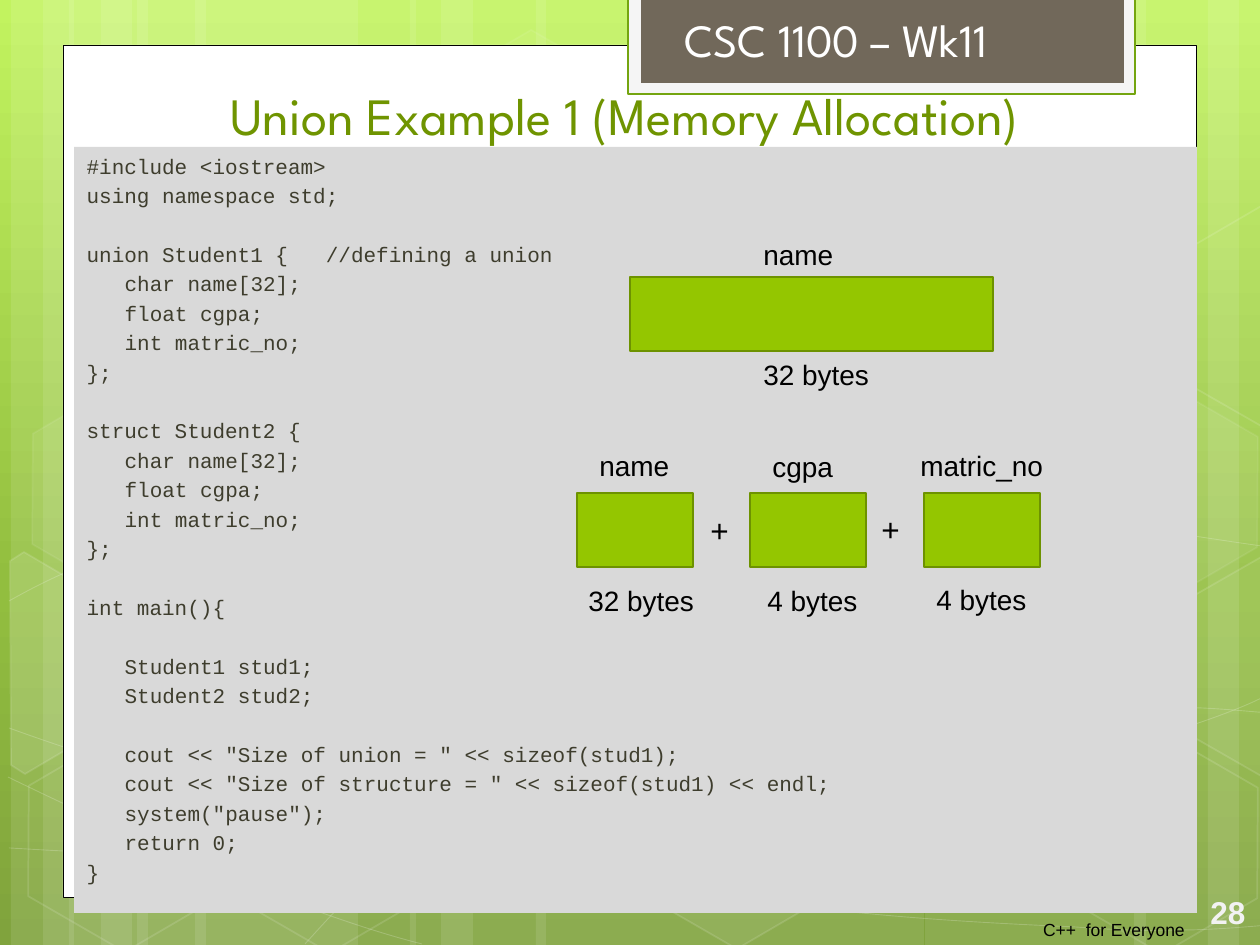
from copy import deepcopy
from lxml import etree
from pptx import Presentation
from pptx.dml.color import RGBColor
from pptx.enum.shapes import MSO_SHAPE
from pptx.enum.text import MSO_ANCHOR, MSO_AUTO_SIZE, PP_ALIGN
from pptx.oxml.ns import qn
from pptx.util import Pt

RECT, HEXAGON = MSO_SHAPE.RECTANGLE, MSO_SHAPE.HEXAGON
LEFT, CENTER, RIGHT = PP_ALIGN.LEFT, PP_ALIGN.CENTER, PP_ALIGN.RIGHT
TOP, MIDDLE, BOTTOM = MSO_ANCHOR.TOP, MSO_ANCHOR.MIDDLE, MSO_ANCHOR.BOTTOM
PX = 914400 / 126  # EMU per px

THEME = {
    "sky": [(0, "C2F35F"), (0.62, "92BE3F"), (1, "80A33D")],
    "white": "FFFFFF", "black": "000000", "tab_edge": "F5F5F5",
    "tab_line": "74A510", "tab": "71685A", "code_panel": "D9D9D9",
    "code": "3E3D2D", "title": "6F9400", "memory": "94C600",
    "memory_line": "6D9200", "page": "F2F2F2",
    "display_font": "League Spartan", "code_font": "Courier New", "label_font": "Arial",
    "title_size": 30, "course_size": 26.4, "code_size": 12, "label_size": 16,
    "sign_size": 18, "footer_size": 10, "page_size": 18,
}


def paint(shape, fill=None, line=None, width=1, fill_alpha=100, line_alpha=100):
    """Set fill and line, with opacity in percent; None leaves either out."""
    shape.shadow.inherit = False
    shape.line.width = Pt(width)
    for format_, color, alpha in ((shape.fill, fill, fill_alpha),
                                  (shape.line.fill, line, line_alpha)):
        if color is None or alpha == 0:
            format_.background()
            continue
        format_.solid()
        format_.fore_color.rgb = RGBColor.from_string(color)
        if alpha < 100:
            properties = shape._element.spPr
            owner = properties if format_ is shape.fill else properties.find(qn("a:ln"))
            color_node = owner.find(qn("a:solidFill"))[0]
            etree.SubElement(color_node, qn("a:alpha"), val=str(alpha * 1000))


def write(shape, text, size, color, font=THEME["label_font"], align=LEFT,
          anchor=TOP, wrap=True, bold=False):
    frame = shape.text_frame
    frame.word_wrap = wrap
    frame.auto_size = MSO_AUTO_SIZE.NONE if wrap else MSO_AUTO_SIZE.SHAPE_TO_FIT_TEXT
    frame.vertical_anchor = anchor
    frame.text = text
    for paragraph in frame.paragraphs:
        paragraph.alignment = align
        paragraph.font.size = Pt(size)
        paragraph.font.name = font
        paragraph.font.bold = bold
        paragraph.font.color.rgb = RGBColor.from_string(color)


prs = Presentation()
prs.slide_width, prs.slide_height = round(1260 * PX), round(945 * PX)
slide = prs.slides.add_slide(prs.slide_layouts[1])
shapes = slide.shapes
title, code = slide.placeholders

# Background gradient, light at the top
sky = slide.background.fill
sky.gradient()
sky.gradient_angle = 270
stop_list = sky.gradient_stops[0]._gs.getparent()
stop_list.append(deepcopy(stop_list[-1]))
for stop, (position, color) in zip(sky.gradient_stops, THEME["sky"]):
    stop.position = position
    stop.color.rgb = RGBColor.from_string(color)

# Vertical light stripes
for left, width in [(137, 221), (11, 63), (43, 105), (195, 221), (69, 63), (101, 105),
                    (925, 221), (1208, 63), (1134, 105), (536, 388), (410, 63), (441, 105)]:
    stripe = shapes.add_shape(RECT, *[round(v * PX) for v in (left, 0, width, 945)])
    paint(stripe, THEME["white"], fill_alpha=10)

# Thin waves: a start point, then two controls and an end for each Bezier segment
WAVES = [
    [(9, 848), (77, 852), (145, 856), (239, 854), (334, 853), (451, 851), (577, 838),
     (703, 825), (882, 801), (998, 777), (1113, 753), (1231, 716), (1269, 694)],
    [(9, 601), (45, 581), (82, 562), (152, 543), (224, 524), (326, 496), (437, 488),
     (549, 479), (685, 478), (824, 488), (964, 498), (1193, 537), (1269, 547)],
    [(8, 777), (152, 847), (311, 916), (422, 944)],
    [(9, 728), (48, 742), (88, 756), (161, 776), (234, 795), (344, 827), (450, 848),
     (554, 869), (687, 892), (791, 905), (896, 919), (1008, 924), (1075, 927),
     (1142, 932), (1158, 930), (1191, 930), (1223, 929), (1246, 927), (1269, 925)],
    [(305, 944), (328, 919), (350, 893), (381, 871), (411, 847), (454, 823), (489, 805),
     (524, 788), (546, 780), (591, 767), (638, 755), (722, 737), (766, 728),
     (811, 719), (818, 719), (857, 717), (896, 713), (958, 709), (1000, 708),
     (1043, 707), (1116, 708), (1116, 708), (1116, 708), (1201, 708), (1201, 708),
     (1223, 709), (1244, 711), (1256, 712), (1268, 713), (1264, 712), (1268, 713)],
]
for points in WAVES:
    builder = shapes.build_freeform(*points[0], scale=PX)
    builder.add_line_segments(points[1:], close=False)
    wave = builder.convert_to_shape()
    paint(wave, line=THEME["white"], width=0.5, line_alpha=20)
    # Each three straight steps become one cubic curve
    outline = next(wave._element.iter(qn("a:path")))
    steps = outline.findall(qn("a:lnTo"))
    for i in range(0, len(steps), 3):
        curve = etree.SubElement(outline, qn("a:cubicBezTo"))
        for step in steps[i:i + 3]:
            curve.append(step[0])
            outline.remove(step)

# Hexagons: left, top, fill opacity, line opacity
for left, top, fill_alpha, line_alpha in [
        (421, 45, 4, 8), (626, 742, 6, 12), (14, 745, 0, 12), (18, 393, 7, 8),
        (219, 746, 0, 12), (949, 571, 10, 12), (1051, 747, 0, 12), (1051, 396, 7, 8)]:
    hexagon = shapes.add_shape(HEXAGON, *[round(v * PX) for v in (left, top, 221, 192)])
    hexagon.adjustments[0] = 0.285
    hexagon.rotation = 30
    paint(hexagon, THEME["white"], THEME["white"], 1, fill_alpha, line_alpha)

# Hexagons cut off by the slide edges
for fill_alpha, corners in [
        (10, [(10, 561), (24, 552), (121, 609), (120, 718), (25, 774), (11, 765)]),
        (4, [(1167, 611), (1263, 556), (1271, 562), (1271, 772), (1263, 777), (1167, 722)]),
        (0, [(1167, 261), (1263, 205), (1273, 212), (1271, 422), (1263, 427), (1167, 372)])]:
    builder = shapes.build_freeform(*corners[0], scale=PX)
    builder.add_line_segments(corners[1:], close=True)
    paint(builder.convert_to_shape(), THEME["white"], THEME["white"], 1, fill_alpha, 12)

# White page and course tab
for box, fill, line, width in [
        ((63, 45, 1134, 853), "white", "black", 0.5),
        ((628, -2, 507, 96), "tab_edge", "tab_line", 1.25),
        ((641, -2, 483, 85), "tab", None, 1)]:
    panel = shapes.add_shape(RECT, *[round(v * PX) for v in box])
    paint(panel, THEME[fill], THEME.get(line), width)

# Code listing and title, in front of the page
for placeholder, box in [(code, (74, 147, 1123, 766)), (title, (95, 63, 1060, 89))]:
    placeholder.left, placeholder.top, placeholder.width, placeholder.height = [
        round(v * PX) for v in box]
    shapes._spTree.append(placeholder._element)
code.fill.solid()
code.fill.fore_color.rgb = RGBColor.from_string(THEME["code_panel"])
CODE_BLOCKS = [
    ["#include <iostream>", "using namespace std;"],
    ["union Student1 {   //defining a union", "\tchar name[32];", "\tfloat cgpa;",
     "\tint matric_no;", "};"],
    ["struct Student2 {", "\tchar name[32];", "\tfloat cgpa;", "\tint matric_no;", "};"],
    ["int main(){"],
    ["\tStudent1 stud1;", "\tStudent2 stud2;"],
    ['\tcout << "Size of union = " << sizeof(stud1);',
     '\tcout << "Size of structure = " << sizeof(stud1) << endl;',
     '\tsystem("pause");', "\treturn 0;", "}"],
]
lines = [(line, block > 0 and row == 0)
         for block, block_lines in enumerate(CODE_BLOCKS)
         for row, line in enumerate(block_lines)]
write(code, "\n".join(line.strip() for line, _ in lines), THEME["code_size"],
      THEME["code"], THEME["code_font"])
for paragraph, (line, opens_block) in zip(code.text_frame.paragraphs, lines):
    paragraph.space_before = Pt(19.2 if opens_block else 2.4)
    properties = paragraph._p.get_or_add_pPr()
    properties.set("marL", str(round(38 * PX) if line.startswith("\t") else 0))
    properties.set("indent", "0")
    etree.SubElement(properties, qn("a:buNone"))
    properties.append(properties.find(qn("a:defRPr")))
write(title, "Union Example 1 (Memory Allocation)", THEME["title_size"], THEME["title"],
      THEME["display_font"], CENTER, BOTTOM)

# Memory blocks: the union on top, the three struct members below
for box in [(630, 277, 363, 74)] + [(left, 493, 116, 74) for left in (577, 750, 924)]:
    memory = shapes.add_shape(RECT, *[round(v * PX) for v in box])
    paint(memory, THEME["memory"], THEME["memory_line"], 1.25)

# Member names, sizes and plus signs
for text, size, *box in [
        ("name", "label_size", 751, 231, 96, 47), ("32 bytes", "label_size", 751, 351, 132, 47),
        ("name", "label_size", 587, 442, 96, 47), ("cgpa", "label_size", 760, 443, 87, 47),
        ("matric_no", "label_size", 908, 442, 150, 47),
        ("32 bytes", "label_size", 576, 577, 132, 47),
        ("4 bytes", "label_size", 755, 577, 117, 47),
        ("4 bytes", "label_size", 924, 576, 117, 47),
        ("+", "sign_size", 698, 505, 44, 50), ("+", "sign_size", 869, 504, 44, 50)]:
    label = shapes.add_textbox(*[round(v * PX) for v in box])
    write(label, text, THEME[size], THEME["black"], wrap=False)

# Course name, footer and page number
for text, box, size, color, font, align, anchor, bold in [
        ("CSC 1100 – Wk11", (672, 0, 441, 73), "course_size", "white", "display_font",
         LEFT, BOTTOM, False),
        ("C++  for Everyone", (911, 914, 286, 31), "footer_size", "black", "label_font",
         RIGHT, MIDDLE, False),
        ("28", (1196, 879, 64, 66), "page_size", "page", "label_font",
         CENTER, MIDDLE, True)]:
    caption = shapes.add_textbox(*[round(v * PX) for v in box])
    write(caption, text, THEME[size], THEME[color], THEME[font], align, anchor, bold=bold)

prs.save("out.pptx")
